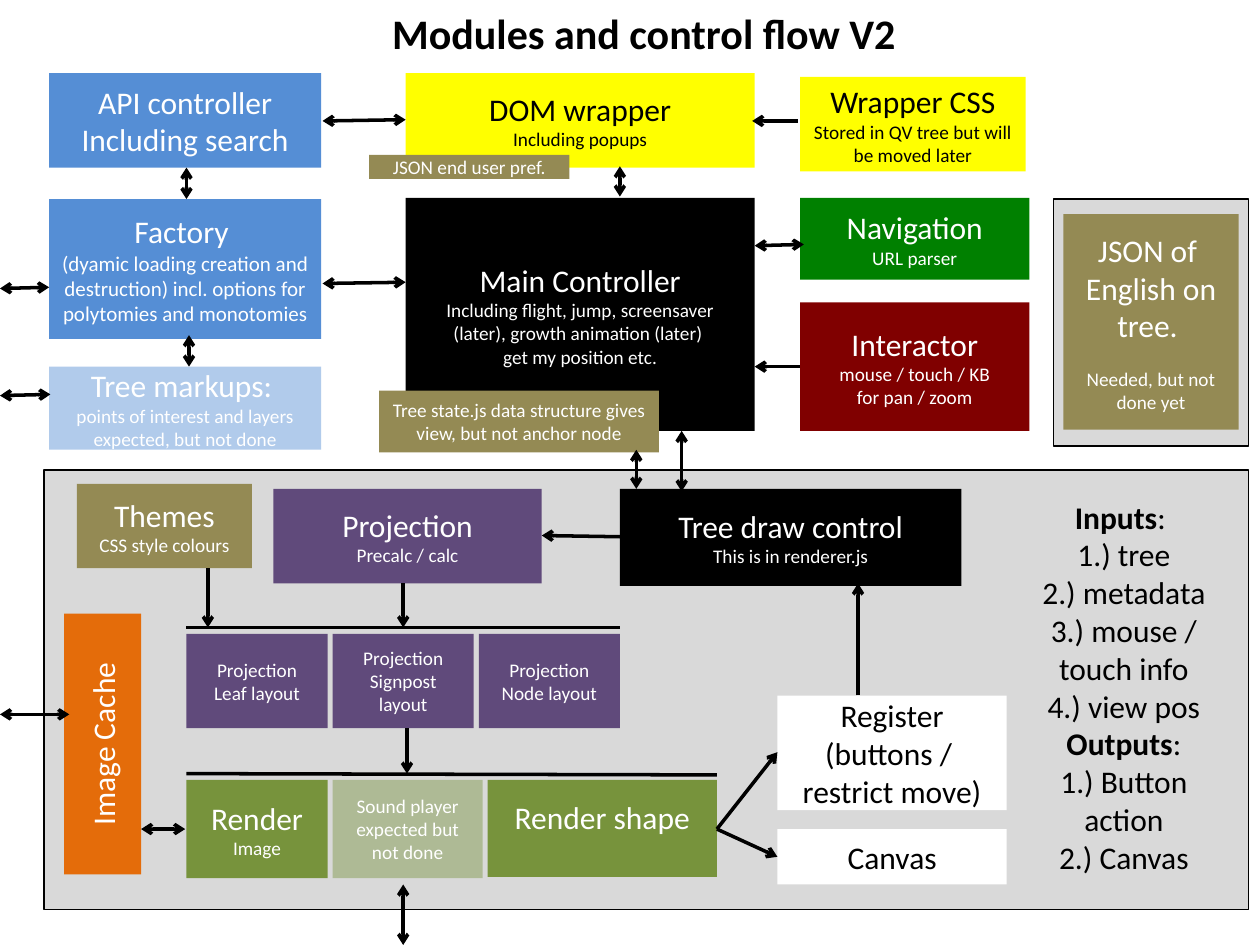
"""Builds the slide of modules and control flow."""
from pptx import Presentation
from pptx import util as u
from pptx.dml.color import RGBColor
from pptx.enum import shapes, text
from pptx.oxml import ns, xmlchemy

HUES = {
    "white": "FFFFFF", "black": "000000", "grey": "D9D9D9", "blue": "558ED5",
    "yellow": "FFFF00", "navy": "604A7B", "green": "008000", "red": "800000",
    "olive": "77933C", "tan": "948A54", "orange": "E46C0A",
}


def hue(name):
    """Returns the named colour."""
    return RGBColor.from_string(HUES[name])


def style(para, size, ink, bold=False):
    """Centres a paragraph and formats its runs."""
    para.alignment = text.PP_ALIGN.CENTER
    for run in para.runs:
        font = run.font
        font.name, font.size, font.bold = "Calibri", u.Pt(size), bold
        font.color.rgb = hue(ink)


def write(frame, big, small, ink, low):
    """Fills a frame with large lines followed by small lines."""
    frame.word_wrap = True
    lines = [(line, 18) for line in big.split("\n") if line]
    lines += [(line, low) for line in small.split("\n") if line]
    frame.text = "\n".join(line for line, size in lines)
    for para, (line, size) in zip(frame.paragraphs, lines):
        style(para, size, ink)


def block(slide, org, box, fill, big="", small="", ink="white", low=11, alpha=None, edge=False):
    """Draws a filled box at an offset from the region's origin."""
    left, top, wide, high = box
    shape = slide.shapes.add_shape(
        shapes.MSO_SHAPE.RECTANGLE, u.Inches(org[0] + left), u.Inches(org[1] + top),
        u.Inches(wide), u.Inches(high))
    shape.shadow.inherit = False
    shape.fill.solid()
    shape.fill.fore_color.rgb = hue(fill)
    if alpha:
        tint = shape.element.spPr.find(ns.qn("a:solidFill"))[0]
        mark = xmlchemy.OxmlElement("a:alpha")
        mark.set("val", str(alpha * 1000))
        tint.append(mark)
    if edge:
        shape.line.color.rgb = hue("black")
        shape.line.width = u.Pt(0.75)
    else:
        shape.line.fill.background()
    if big or small:
        shape.text_frame.vertical_anchor = text.MSO_ANCHOR.MIDDLE
        write(shape.text_frame, big, small, ink, low)
    return shape


def link(slide, org, ends, tips=()):
    """Draws a line with arrowheads at the listed tips."""
    x1, y1, x2, y2 = ends
    line = slide.shapes.add_connector(
        shapes.MSO_CONNECTOR.STRAIGHT, u.Inches(org[0] + x1), u.Inches(org[1] + y1),
        u.Inches(org[0] + x2), u.Inches(org[1] + y2))
    line.line.color.rgb = hue("black")
    line.line.width = u.Pt(2)
    props = line.element.spPr
    for tip in tips:
        mark = xmlchemy.OxmlElement("a:" + tip)
        mark.set("type", "arrow")
        props.find(ns.qn("a:ln")).append(mark)
    props.append(xmlchemy.OxmlElement("a:effectLst"))


def links(slide, org, both, single, bars=()):
    """Draws a region's two-way arrows, one-way arrows and bars."""
    for group, tips in ((both, ("headEnd", "tailEnd")), (single, ("tailEnd",)), (bars, ())):
        for ends in group:
            link(slide, org, ends, tips)


def head(slide, box):
    """Places the title."""
    title = slide.shapes.title
    title.left, title.top, title.width, title.height = map(u.Inches, box)
    frame = title.text_frame
    frame.text = "Modules and control flow V2"
    frame.auto_size = text.MSO_AUTO_SIZE.NONE
    frame.vertical_anchor = text.MSO_ANCHOR.TOP
    style(frame.paragraphs[0], 24, "black", True)


def words(slide, org):
    """Places the panel of language data."""
    block(slide, org, (0, 0, 1.55, 1.96), "grey", edge=True)
    card = block(slide, org, (0.08, 0.12, 1.39, 1.71), "tan",
                 "JSON of \nEnglish on tree. ", "Needed, but not done yet")
    card.text_frame.paragraphs[-1].space_before = u.Pt(13)


def core(slide, org):
    """Places the controllers and their arrows."""
    mid, right = 2.83, 5.96
    block(slide, org, (0, 0, 2.16, 0.75), "blue", "API controller\nIncluding search")
    block(slide, org, (0, 1, 2.16, 1.11), "blue", "Factory ",
          "(dyamic loading creation and destruction) incl. options for polytomies and monotomies",
          low=12)
    block(slide, org, (0, 2.33, 2.16, 0.66), "blue", "Tree markups: ",
          "points of interest and layers expected, but not done", alpha=46)
    block(slide, org, (mid, 0, 2.77, 0.75), "yellow", "DOM wrapper", "Including popups", "black")
    block(slide, org, (mid, 0.99, 2.77, 1.85), "black", "Main Controller",
          "Including flight, jump, screensaver (later), growth animation (later) \n"
          "get my position etc.")
    block(slide, org, (right, 0.03, 1.79, 0.75), "yellow", "Wrapper CSS",
          "Stored in QV tree but will be moved later", "black")
    block(slide, org, (right, 0.99, 1.82, 0.65), "green", "Navigation", "URL parser")
    block(slide, org, (right, 1.82, 1.82, 1.02), "red", "Interactor",
          "mouse / touch / KB\nfor pan / zoom")
    block(slide, org, (2.54, 0.65, 1.59, 0.19), "tan", small="JSON end user pref.")
    block(slide, org, (2.62, 2.52, 2.22, 0.49), "tan",
          small="Tree state.js data structure gives view, but not anchor node")
    both = [
        (5.02, 2.84, 5.02, 3.32), (4.66, 2.99, 4.66, 3.3), (4.53, 0.74, 4.53, 0.98),
        (mid, 0.37, 2.17, 0.38), (mid, 1.66, 2.17, 1.67), (5.99, 1.36, 5.6, 1.37),
        (1.11, 2.08, 1.11, 2.33), (1.09, 0.75, 1.09, 1),
        (0, 1.7, -0.39, 1.71), (0.01, 2.55, -0.39, 2.56),
    ]
    links(slide, org, both, [(right, 2.33, 5.6, 2.33), (5.94, 0.38, 5.58, 0.38)])


def notes(slide, org):
    """Places the list of inputs and outputs."""
    area = slide.shapes.add_textbox(
        u.Inches(org[0]), u.Inches(org[1]), u.Inches(1.56), u.Inches(3.13))
    write(area.text_frame, "Inputs\n1.) tree\n2.) metadata\n3.) mouse / touch info\n"
          "4.) view pos\nOutputs\n1.) Button action\n2.) Canvas", "", "black", 11)
    for para in area.text_frame.paragraphs:
        if para.text in ("Inputs", "Outputs"):
            para.add_run().text = ": " if para.text == "Inputs" else ":"
            style(para, 18, "black")
            para.runs[0].font.bold = True


def draw(slide, org):
    """Places the drawing panel with its modules and arrows."""
    left, base, out = 1.13, 2.46, 5.82
    block(slide, org, (0, 0, 9.56, 3.49), "grey", edge=True)
    block(slide, org, (0.26, 0.11, 1.39, 0.67), "tan", "Themes", "CSS style colours")
    block(slide, org, (1.82, 0.15, 2.13, 0.75), "navy", "Projection", "Precalc / calc")
    block(slide, org, (4.57, 0.15, 2.71, 0.77), "black", "Tree draw control",
          "This is in renderer.js")
    for col, part in enumerate(("Leaf", "Signpost", "Node")):
        block(slide, org, (left + 1.16 * col, 1.3, 1.12, 0.75), "navy",
              small=f"Projection {part} layout")
    cache = block(slide, org, (-0.57, 1.87, 2.07, 0.61), "orange", "Image Cache")
    cache.rotation = 270
    block(slide, org, (left, base, 1.12, 0.78), "olive", "Render", "Image")
    block(slide, org, (2.29, base, 1.19, 0.78), "olive",
          small="Sound player expected but not done", alpha=43)
    form = block(slide, org, (3.52, base, 1.82, 0.77), "olive", "Render shape")
    form.text_frame.margin_bottom = u.Inches(0.23)
    block(slide, org, (out, 1.79, 1.82, 0.91), "white",
          "Register\n(buttons / \nrestrict move)", ink="black")
    block(slide, org, (out, 2.85, 1.82, 0.44), "white", "Canvas", ink="black")
    notes(slide, (org[0] + 7.79, org[1] + 0.17))
    both = [(0.77, 2.85, 1.12, 2.85), (2.85, 3.29, 2.85, 3.77), (0.2, 1.94, -0.35, 1.94)]
    single = [
        (5.34, 2.85, out, 3.07), (5.34, 2.85, out, 2.24), (2.88, 2.05, 2.88, 2.41),
        (1.3, 0.78, 1.3, 1.25), (2.85, 0.31, 2.85, 1.25),
        (6.46, 1.79, 6.46, 0.9), (4.57, 0.53, 3.95, 0.52),
    ]
    single[4] = (2.85, 0.9, 2.85, 1.25)
    links(slide, org, both, single, [(left, 2.41, 5.34, 2.42), (left, 1.25, 4.57, 1.25)])


def main():
    """Builds and saves the slide."""
    deck = Presentation()
    deck.slide_width, deck.slide_height = u.Inches(10), u.Inches(7.5)
    slide = deck.slides.add_slide(deck.slide_layouts[5])
    head(slide, (0.39, 0.01, 9.44, 0.5))
    words(slide, (8.36, 1.58))
    draw(slide, (0.35, 3.73))
    core(slide, (0.39, 0.58))
    deck.save("out.pptx")


main()
